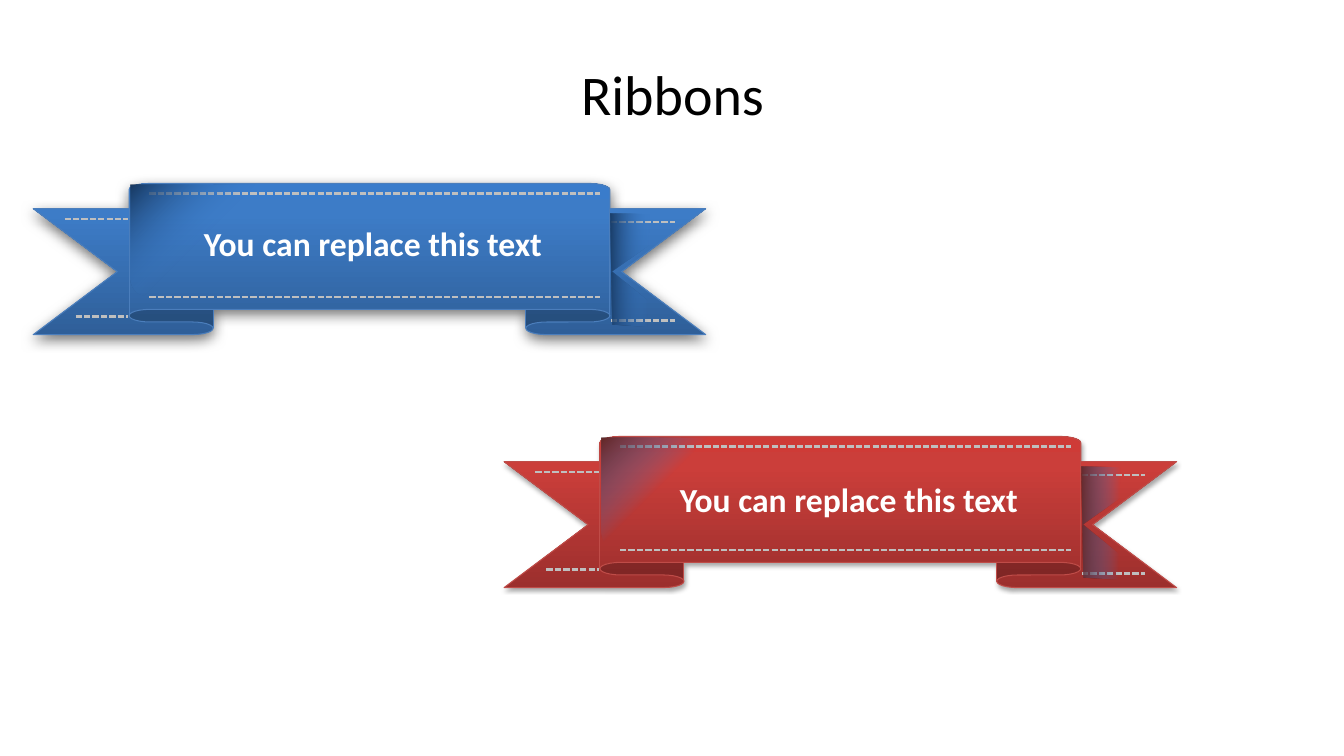
from dataclasses import dataclass

from lxml import etree
from pptx import Presentation
from pptx.dml.color import RGBColor
from pptx.enum.dml import MSO_LINE
from pptx.enum.shapes import MSO_CONNECTOR, MSO_SHAPE
from pptx.enum.text import MSO_ANCHOR, MSO_AUTO_SIZE, PP_ALIGN
from pptx.oxml import parse_xml
from pptx.oxml.ns import nsdecls, qn
from pptx.util import Pt

PX = 9144  # 100 px to the inch
RIBBON = MSO_SHAPE.UP_RIBBON
STRAIGHT = MSO_CONNECTOR.STRAIGHT
DASH = MSO_LINE.SQUARE_DOT
CENTER = PP_ALIGN.CENTER
MIDDLE, TOP = MSO_ANCHOR.MIDDLE, MSO_ANCHOR.TOP
GROW, FIXED = MSO_AUTO_SIZE.SHAPE_TO_FIT_TEXT, MSO_AUTO_SIZE.NONE


@dataclass(frozen=True)
class Theme:
    font: str = "Calibri"
    title: int = 40
    label: int = 24
    ink: str = "000000"
    paper: str = "FFFFFF"
    stitch: str = "BFBFBF"
    clear: str = "3A7CCB"
    red: tuple = ("9C2F2D", "CB3E3A", "CE3B37")
    red_edge: str = "BF4C48"
    red_shade: str = "632523"
    blue: tuple = ("2F5F99", "3D7CC7", "3A7CCB")
    blue_edge: str = "4B7EBC"
    blue_shade: str = "17375E"


class Deck:
    def __init__(self, theme):
        self.theme = theme
        self.prs = Presentation()
        self.prs.slide_width, self.prs.slide_height = 1333 * PX, 750 * PX
        self.slide = self.prs.slides.add_slide(self.prs.slide_layouts[6])
        self.shapes = self.slide.shapes

    def group(self):
        self.shapes = self.slide.shapes.add_group_shape().shapes

    def blend(self, shape, stops, angle):
        """Fill with (place, colour, opacity) stops, all in percent."""
        marks = "".join(
            f'<a:gs pos="{pos * 1000}"><a:srgbClr val="{color}">'
            f'<a:alpha val="{alpha * 1000}"/></a:srgbClr></a:gs>'
            for pos, color, alpha in stops)
        shape.fill.background()
        props = shape.element.spPr
        props.replace(props.find(qn("a:noFill")), parse_xml(
            f'<a:gradFill {nsdecls("a")} rotWithShape="1"><a:gsLst>{marks}</a:gsLst>'
            f'<a:lin ang="{angle * 60000}" scaled="0"/></a:gradFill>'))

    def ribbon(self, x, y, w, h, colors, edge, shadow):
        shape = self.shapes.add_shape(RIBBON, x * PX, y * PX, w * PX, h * PX)
        shape.adjustments[0], shape.adjustments[1] = 0.167, 0.715
        self.blend(shape, [(p, c, 100) for p, c in zip((0, 80, 100), colors)], 270)
        shape.line.color.rgb = RGBColor.from_string(edge)
        shape.line.width = Pt(0.75)
        shape.shadow.inherit = False
        alpha, blur, dist = shadow
        shape.element.spPr.find(qn("a:effectLst")).append(parse_xml(
            f'<a:outerShdw {nsdecls("a")} blurRad="{Pt(blur)}" dist="{Pt(dist)}" '
            f'dir="5400000" rotWithShape="0"><a:srgbClr val="{self.theme.ink}">'
            f'<a:alpha val="{alpha * 1000}"/></a:srgbClr></a:outerShdw>'))

    def stitch(self, x, end, y):
        line = self.shapes.add_connector(STRAIGHT, x * PX, y * PX, end * PX, y * PX)
        line.line.color.rgb = RGBColor.from_string(self.theme.stitch)
        line.line.width = Pt(1.5)
        line.line.dash_style = DASH
        etree.SubElement(line.element.spPr, qn("a:effectLst"))

    def shade(self, points, color, angle, curved=False):
        pen = self.shapes.build_freeform(*points[0], scale=PX)
        pen.add_line_segments(points[1:], close=True)
        shape = pen.convert_to_shape()
        if curved:
            self.bend(shape)
        self.blend(shape, [(0, color, 100), (49, self.theme.clear, 0)], angle)
        shape.line.fill.background()
        shape.shadow.inherit = False
        return shape

    def bend(self, shape):
        """Join every three straight steps into one Bezier curve."""
        steps = list(shape.element.iter(qn("a:lnTo")))
        for i in range(0, len(steps) - 2, 3):
            curve = etree.Element(qn("a:cubicBezTo"))
            steps[i].addprevious(curve)
            for step in steps[i:i + 3]:
                curve.append(step[0])
                step.getparent().remove(step)

    def text(self, x, y, w, h, words, size, color, bold=False, anchor=TOP, fit=FIXED):
        box = self.shapes.add_textbox(x * PX, y * PX, w * PX, h * PX)
        frame = box.text_frame
        frame.word_wrap, frame.auto_size = True, fit
        frame.vertical_anchor = anchor
        para = frame.paragraphs[0]
        para.alignment = CENTER
        run = para.add_run()
        run.text = words
        run.font.name, run.font.size = self.theme.font, Pt(size)
        run.font.bold = bold
        run.font.color.rgb = RGBColor.from_string(color)


# Parts of a banner, measured from its top left corner
SEAMS = ((115, 562, 10), (115, 562, 113),
         (573, 636, 38), (573, 636, 136),
         (31, 94, 35), (42, 94, 132))
WING = ((576, 140), (572, 31), (651, 32), (575, 88), (645, 143))
# Curve points of the fold: share of its width, then height in px
FOLD = ((0, 91), (0, 60), (0, 30), (0, 0),
        (0.17, -1), (0.67, 0), (1, 0),
        (1, 18), (0.28, 94), (0.11, 109),
        (0.05, 109), (0, 101), (0, 91))


def banner(deck, x, y, colors, edge, dark, shadow, fold, label):
    deck.group()
    deck.ribbon(x, y, 667, 150, colors, edge, shadow)
    for start, end, drop in SEAMS:
        deck.stitch(x + start, x + end, y + drop)
    # Shadows of the fold and of the right wing
    curve = [(x + 97 + round(u * fold), y + 2 + v) for u, v in FOLD]
    deck.shade(curve, dark, 45, curved=True)
    wing = deck.shade([(x + u, y + v) for u, v in WING], dark, 0)
    wing.rotation = 1
    left, top, width = label
    deck.text(x + left, y + top, width, 45, "You can replace this text",
              deck.theme.label, deck.theme.paper, bold=True, fit=GROW)


def main():
    look = Theme()
    deck = Deck(look)
    # Title
    deck.text(67, 30, 1200, 125, "Ribbons", look.title, look.ink, anchor=MIDDLE)
    # Red and blue banners
    banner(deck, 500, 433, look.red, look.red_edge, look.red_shade,
           (35, 3.1, 1.8), 107, (116, 37, 452))
    banner(deck, 33, 182, look.blue, look.blue_edge, look.blue_shade,
           (55, 10, 3), 143, (113, 34, 448))
    deck.prs.save("out.pptx")


if __name__ == "__main__":
    main()
